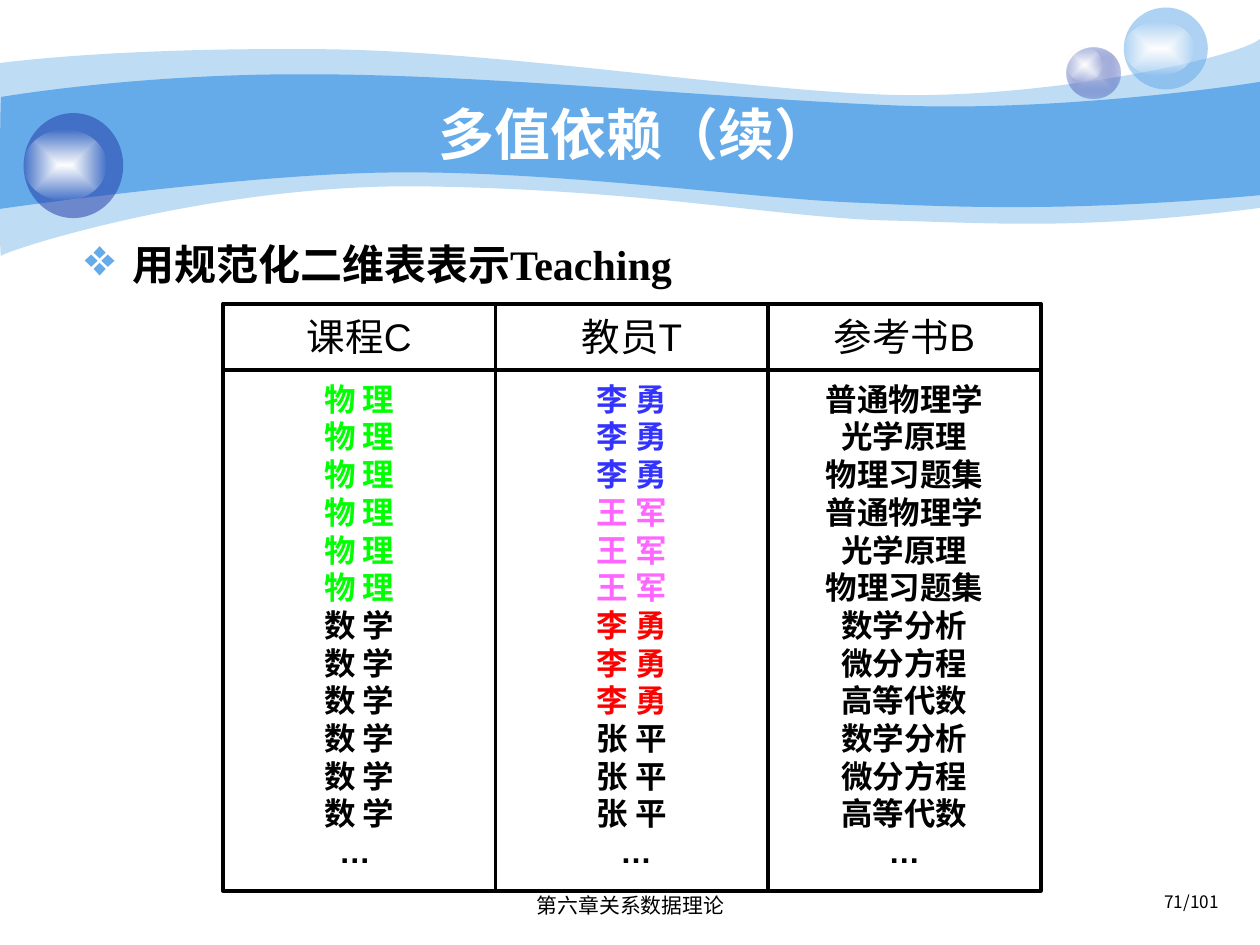
from lxml.etree import SubElement
from pptx import Presentation
from pptx.dml.color import RGBColor
from pptx.enum.shapes import MSO_CONNECTOR, MSO_SHAPE
from pptx.enum.text import MSO_ANCHOR, MSO_AUTO_SIZE, PP_ALIGN
from pptx.oxml.ns import qn
from pptx.util import Pt

COLORS = {
    "sky": "65AAE9", "navy": "233DA9", "lavender": "C7CEE9", "white": "FFFFFF",
    "black": "000000", "green": "00FF00", "blue": "3333FF", "pink": "FF66FF", "red": "FF0000",
}
CJK_FONT = "Noto Sans CJK SC"
UNITS = 10  # path units in a point

# Each outline: a start point, then cubic curves (three points) and straight lines (one point)
OUTER_WAVE = [
    [(0, 36)],
    [(17.3, 33.8), (77, 27.4), (177.8, 28.1)],
    [(277.9, 28.1), (414, 50.4), (503.3, 54)],
    [(591.8, 57.6), (705.6, 33.8), (720, 22.3)],
    [(720, 118.8)],
    [(617.8, 131.8), (566.6, 127.4), (507.6, 126)],
    [(447.8, 124.6), (370.8, 108.7), (247, 106.6)],
    [(123.8, 103.7), (2.9, 143.3), (0.7, 146.2)],
    [(-0.7, 149.8), (0, 54), (0, 36)],
]
INNER_WAVE = [
    [(0.7, 55.4)],
    [(1.4, 55.4), (79.2, 41.8), (178.6, 42.5)],
    [(277.9, 42.5), (428.4, 57.6), (517, 60.5)],
    [(605.5, 63.4), (702.7, 49.7), (720, 46.8)],
    [(720, 111.6)],
    [(614.2, 121), (550.8, 118.8), (491, 115.9)],
    [(431.3, 113.8), (321.8, 97.9), (228.2, 98.6)],
    [(146.2, 98.6), (-1.4, 119.5), (-0.7, 119.5)],
    [(0, 119.5), (0, 55.4), (0.7, 55.4)],
]

# Each column: heading, then (text, colour, number of lines)
COLUMNS = [
    ("课程C", [("物 理", "green", 6), ("数 学", "black", 6), ("… ", "black", 1)]),
    ("教员T", [("李 勇", "blue", 3), ("王 军", "pink", 3), ("李 勇", "red", 3),
              ("张 平", "black", 3), (" …", "black", 1)]),
    ("参考书B", [(book, "black", 1) for book in
               ["普通物理学", "光学原理", "物理习题集"] * 2
               + ["数学分析", "微分方程", "高等代数"] * 2 + ["…"]]),
]


def rgb(name):
    return RGBColor.from_string(COLORS[name])


def write(para, text, size, font="Arial", color="black", bold=False,
          align=PP_ALIGN.CENTER, spacing=None):
    para.alignment = align
    if spacing:
        para.line_spacing = spacing
    span = para.add_run()
    span.text = text
    span.font.size = Pt(size)
    span.font.name = font
    span.font.bold = bold
    span.font.color.rgb = rgb(color)
    SubElement(span.font._element, qn("a:ea"), typeface=CJK_FONT)


def add_text(page, box, text, size, anchor=MSO_ANCHOR.TOP, wrap=True, **style):
    frame = page.shapes.add_textbox(*map(Pt, box)).text_frame
    frame.word_wrap = wrap
    frame.vertical_anchor = anchor
    write(frame.paragraphs[0], text, size, **style)
    return frame


def finish(shape, color, opacity=100):
    """Fill a shape with one colour and remove its line and shadow."""
    shape.shadow.inherit = False
    shape.line.fill.background()
    shape.fill.solid()
    shape.fill.fore_color.rgb = rgb(color)
    if opacity < 100:
        tint = shape._element.spPr.find(".//" + qn("a:srgbClr"))
        SubElement(tint, qn("a:alpha"), val=str(opacity * 1000))


def add_glow(shape, inner, outer, opacity):
    """Replace the fill with a gradient running from the centre to the edges."""
    solid = shape._element.spPr.find(qn("a:solidFill"))
    grad = solid.makeelement(qn("a:gradFill"), {"rotWithShape": "1"})
    stops = SubElement(grad, qn("a:gsLst"))
    for position, color, alpha in ((0, inner, 100), (100, outer, opacity)):
        stop = SubElement(stops, qn("a:gs"), pos=str(position * 1000))
        tint = SubElement(stop, qn("a:srgbClr"), val=COLORS[color])
        if alpha < 100:
            SubElement(tint, qn("a:alpha"), val=str(alpha * 1000))
    route = SubElement(grad, qn("a:path"), path="rect")
    SubElement(route, qn("a:fillToRect"), l="50000", t="50000", r="50000", b="50000")
    solid.getparent().replace(solid, grad)


def add_wave(page, outline, color, opacity=100):
    """Build the outline through its corner points, then bend the sides into curves."""
    corners = [tuple(round(value * UNITS) for value in segment[-1]) for segment in outline]
    builder = page.shapes.build_freeform(*corners[0], scale=Pt(1) / UNITS)
    builder.add_line_segments(corners[1:], close=True)
    wave = builder.convert_to_shape()
    left, top = (min(corner[axis] for corner in corners) for axis in (0, 1))
    sides = wave._element.spPr.findall(".//" + qn("a:lnTo"))
    for side, segment in zip(sides, outline[1:]):
        if len(segment) == 3:
            curve = side.makeelement(qn("a:cubicBezTo"), {})
            for x, y in segment:
                SubElement(curve, qn("a:pt"), x=str(round(x * UNITS) - left),
                           y=str(round(y * UNITS) - top))
            side.getparent().replace(side, curve)
    finish(wave, color, opacity)


def add_ball(page, box, shine, color, opacity, center=None):
    """Draw a ball; shine is the highlight's (top offset, width, height)."""
    left, top, width, height = box
    ball = page.shapes.add_shape(MSO_SHAPE.OVAL, *map(Pt, box))
    finish(ball, color, opacity)
    if center:
        add_glow(ball, center, color, opacity)
    offset, shine_width, shine_height = shine
    light = page.shapes.add_shape(MSO_SHAPE.OVAL, Pt(left), Pt(top + offset),
                                  Pt(shine_width), Pt(shine_height))
    finish(light, "white")
    add_glow(light, "white", "white", 0)


def add_banner(page):
    add_wave(page, OUTER_WAVE, "sky", 41)
    add_wave(page, INNER_WAVE, "sky")
    add_ball(page, (609.4, 27, 30.6, 29.4), (0, 20.2, 19.4), "navy", 31, center="lavender")
    add_ball(page, (642.2, 4.3, 48, 46.8), (7.9, 40.3, 31), "sky", 53)
    add_ball(page, (13.5, 64.6, 56.9, 60), (9.7, 47.5, 40.3), "navy", 53)


def add_bullet_line(page, box, text):
    frame = add_text(page, box, text, 24, font="Times New Roman", bold=True, wrap=False)
    frame.auto_size = MSO_AUTO_SIZE.SHAPE_TO_FIT_TEXT
    props = frame.paragraphs[0]._p.get_or_add_pPr()
    props.set("marL", str(Pt(27)))
    props.set("indent", str(-Pt(27)))
    SubElement(SubElement(props, qn("a:buClr")), qn("a:srgbClr"), val=COLORS["sky"])
    SubElement(props, qn("a:buSzPct"), val="125000")
    SubElement(props, qn("a:buChar"), char="❖")


def add_cell(page, box, lines, size, pitch, bold=False):
    cell = page.shapes.add_shape(MSO_SHAPE.RECTANGLE, *map(Pt, box))
    cell.shadow.inherit = False
    cell.fill.background()
    cell.line.color.rgb = rgb("black")
    cell.line.width = Pt(2.25)
    frame = cell.text_frame
    frame.word_wrap = True
    frame.vertical_anchor = MSO_ANCHOR.TOP
    frame.margin_top = Pt(5.4)
    for number, (text, color) in enumerate(lines):
        para = frame.add_paragraph() if number else frame.paragraphs[0]
        write(para, text, size, color=color, bold=bold, spacing=Pt(pitch))


def add_rule(page, *ends):
    rule = page.shapes.add_connector(MSO_CONNECTOR.STRAIGHT, *map(Pt, ends))
    rule.line.color.rgb = rgb("black")
    rule.line.width = Pt(2.25)
    SubElement(rule._element.spPr, qn("a:effectLst"))


def add_teaching_grid(page, box, header_height):
    left, top, width, height = box
    column_width = width / len(COLUMNS)
    right, bottom, middle = left + width, top + height, top + header_height
    edges = [left + column_width * index for index in range(len(COLUMNS) + 1)]
    for edge, (heading, entries) in zip(edges, COLUMNS):
        lines = [(text, color) for text, color, count in entries for _ in range(count)]
        add_cell(page, (edge, middle, column_width, bottom - middle), lines, 18, 21.55, bold=True)
        add_cell(page, (edge, top, column_width, header_height), [(heading, "black")], 22, 26.5)
    for y in (middle, bottom):
        add_rule(page, left, y, right, y)
    for edge in edges[1:]:
        add_rule(page, edge, top, edge, bottom)
    add_rule(page, left, middle, left, bottom)
    add_rule(page, left, top, left, middle)


def main():
    deck = Presentation()
    deck.slide_width, deck.slide_height = Pt(720), Pt(540)
    page = deck.slides.add_slide(deck.slide_layouts[6])
    add_banner(page)
    add_text(page, (535.7, 508.3, 167.8, 20.9), "71/101", 9.8, font=CJK_FONT,
             align=PP_ALIGN.RIGHT, spacing=0.8)
    add_text(page, (246.2, 508.3, 228.2, 23), "第六章关系数据理论", 11.9, spacing=0.9)
    add_teaching_grid(page, (127.4, 173.5, 467.3, 335.5), 38.2)
    add_text(page, (72, 54, 581.8, 44.6), "多值依赖（续）", 32, color="white", bold=True,
             anchor=MSO_ANCHOR.MIDDLE)
    add_bullet_line(page, (37.4, 132.5, 357.8, 36), "用规范化二维表表示Teaching")
    deck.save("out.pptx")


if __name__ == "__main__":
    main()
